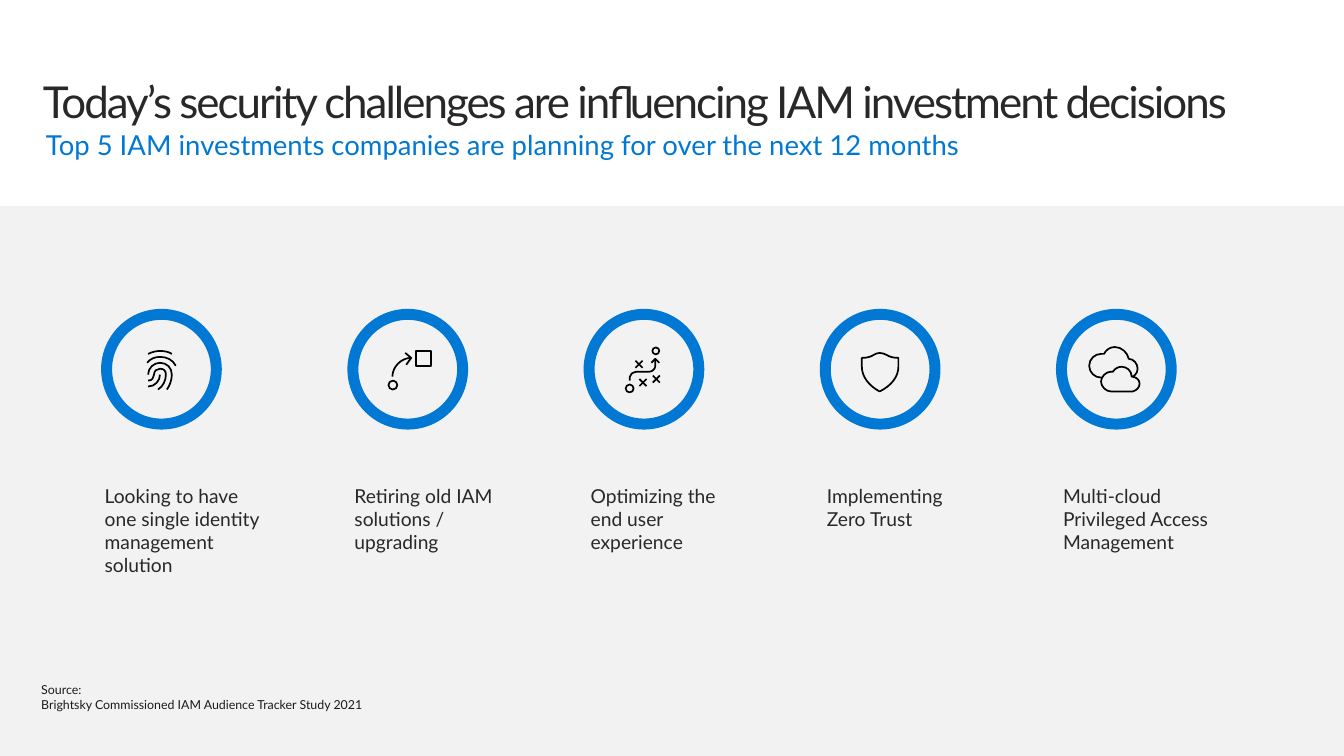
import itertools

import pptx
import pptx.dml.color
import pptx.enum.shapes
import pptx.oxml.ns
import pptx.util

Cm, Pt = pptx.util.Cm, pptx.util.Pt
RGBColor = pptx.dml.color.RGBColor
MSO_SHAPE = pptx.enum.shapes.MSO_SHAPE
qn = pptx.oxml.ns.qn

PANEL = RGBColor(0xF2, 0xF2, 0xF2)
BLUE = RGBColor(0x00, 0x78, 0xD4)
DARK = RGBColor(0x28, 0x28, 0x28)
SOURCE_INK = RGBColor(0x1A, 0x1A, 0x1A)
BLACK = RGBColor(0x00, 0x00, 0x00)

RING_TOP, RING_SIZE = 8.08, 2.82
ICON_UNIT = 0.0254  # cm per step of the icon grid, counted from the ring's corner

# Icon strokes: C curve, L straight line, O circle (centre, radius), X cross (centre)
FINGERPRINT = [
    "C 54 61 54 67 49 73 42 73",
    "C 66 40 63 38 59 37 54 37 50 37 46 38 42 40",
    "C 70 52 67 46 61 43 54 43 49 43 44 45 41 49",
    "C 61 76 64 72 66 66 66 61 66 54 61 49 54 49 48 49 42 54 42 61",
    "C 52 76 57 73 60 67 60 61 60 57 58 55 54 55 51 55 48 57 48 61 48 64 46 67 42 67",
]
UPGRADE = [
    "C 40 63 40 53 49 44 59 44",
    "L 54 51 59 44 53 39",
    "O 40.5 71.5 4.5",
    "L 79 37 64 37 64 52 79 52 79 37",
]
ROUTE = [
    "C 67 45 67 45 67 48 67 51 67 58 61 58 61 58 61 58 49 58 49 58 49 58 46 58 43 60 41 62 41 64 41 67",
    "L 71 49 67 45 63 49",
    "O 41 75 4", "O 67.5 37 3.5",
    "X 50.5 50.5", "X 68 65.5", "X 54.5 69",
]
SHIELD = [
    "C 74 53 74 63 67 72 55 78 44 72 37 63 37 53 37 53 37 44 37 44 42 44 46 43 49 41 "
    "50 40 53 39 55 39 58 39 60 40 62 41 65 43 69 44 74 44 74 44 74 53 74 53",
]
BACK_CLOUD = [
    "C 68 64 68 64 40 64 40 64 34 64 28 59 28 52 28 45 34 40 40 40 41 40 42 40 43 40 "
    "45 36 49 33 54 33 61 33 67 39 68 45 73 45 77 50 77 55 77 60 73 64 68 64",
]
FRONT_CLOUD = [
    "C 72 78 72 78 50 78 50 78 45 78 40 73 40 68 40 63 45 58 50 58 51 58 51 58 52 58 "
    "54 55 57 53 61 53 66 53 71 57 71 63 75 63 79 66 79 70 79 74 76 77 72 78",
]

# Ring left, label left, label width, label height, label, icon layers as (strokes, fill)
INVESTMENTS = [
    (2.74, 2.44, 4.78, 2.64, "Looking to have one single identity management solution",
     [(FINGERPRINT, None)]),
]
OTHERS = [
    (2.06, "Retiring old IAM solutions / upgrading", [(UPGRADE, None)]),
    (2.06, "Optimizing the end user experience", [(ROUTE, None)]),
    (1.45, "Implementing Zero Trust", [(SHIELD, None)]),
    (2.06, "Multi-cloud Privileged Access Management", [(BACK_CLOUD, None), (FRONT_CLOUD, PANEL)]),
]
for i, other in enumerate(OTHERS):
    INVESTMENTS.append((9.07 + 6.07 * i, 8.86 + 6.07 * i, 4.45, *other))


def add_text(s, text, left, top, width, height, size, color=DARK,
             insets=(0.25, 0.13, 0.25, 0.13), line_spacing=None, before=None, spacing=None):
    tf = s.shapes.add_textbox(Cm(left), Cm(top), Cm(width), Cm(height)).text_frame
    tf.word_wrap = True
    tf.margin_left, tf.margin_top, tf.margin_right, tf.margin_bottom = map(Cm, insets)
    p = tf.paragraphs[0]
    p.line_spacing = line_spacing
    if before:
        p.space_before = Pt(before)
    for n, line in enumerate(text.split("\n")):
        if n:
            p.add_line_break()
        r = p.add_run()
        r.text = line
        r.font.name, r.font.size = "Lato", Pt(size)
        r.font.color.rgb = color
        if spacing:
            r.font._element.set("spc", str(round(spacing * 100)))


def stroke_outlines(stroke):
    """Return the (curved, points) outlines of one icon stroke."""
    kind, *words = stroke.split()
    v = [float(w) for w in words]
    if kind == "O":
        x, y, d = v
        c = 0.55 * d
        return [(True, [(x, y + d), (x + c, y + d), (x + d, y + c), (x + d, y),
                        (x + d, y - c), (x + c, y - d), (x, y - d),
                        (x - c, y - d), (x - d, y - c), (x - d, y),
                        (x - d, y + c), (x - c, y + d), (x, y + d)])]
    if kind == "X":
        x, y, d = *v, 3.6
        return [(False, [(x - d, y - d * k), (x + d, y + d * k)]) for k in (1, -1)]
    return [(kind == "C", list(zip(v[::2], v[1::2])))]


prs = pptx.Presentation()
prs.slide_width, prs.slide_height = Cm(34.54), Cm(19.43)
s = prs.slides.add_slide(prs.slide_layouts[6])

# Grey panel
panel = s.shapes.add_shape(MSO_SHAPE.RECTANGLE, 0, Cm(5.3), prs.slide_width, Cm(14.13))
panel.shadow.inherit = False
panel.fill.solid()
panel.fill.fore_color.rgb = PANEL
panel.line.fill.background()

# Heading and source
add_text(s, "Today’s security challenges are influencing IAM investment decisions",
         1.07, 1.27, 33.47, 2.11, 32, insets=(0.03, 0.46, 0, 0),
         line_spacing=1.13, before=0.9, spacing=-1.47)
add_text(s, "Top 5 IAM investments companies are planning for over the next 12 months",
         1.18, 3.4, 32.13, 0.76, 20, color=BLUE, insets=(0, 0, 0, 0), line_spacing=0.9)
add_text(s, "Source:\nBrightsky Commissioned IAM Audience Tracker Study 2021",
         0.81, 17.4, 23.39, 1.02, 9, color=SOURCE_INK)

# Investments: ring, icon and label
for ring_left, label_left, label_width, label_height, label, layers in INVESTMENTS:
    add_text(s, label, label_left, 12.31, label_width, label_height, 14)
    badge = s.shapes.add_group_shape()
    ring = badge.shapes.add_shape(MSO_SHAPE.OVAL, Cm(ring_left), Cm(RING_TOP),
                                  Cm(RING_SIZE), Cm(RING_SIZE))
    ring.shadow.inherit = False
    ring.fill.background()
    ring.line.color.rgb, ring.line.width = BLUE, Pt(8)

    for strokes, fill in layers:
        outlines = [(curved, [(Cm(ring_left + x * ICON_UNIT), Cm(RING_TOP + y * ICON_UNIT))
                              for x, y in points])
                    for stroke in strokes for curved, points in stroke_outlines(stroke)]
        builder = badge.shapes.build_freeform(*outlines[0][1][0])
        for n, (curved, points) in enumerate(outlines):
            if n:
                builder.move_to(*points[0])
            builder.add_line_segments(points[1:], close=points[0] == points[-1])
        icon = builder.convert_to_shape()

        # Join each three points of a curved outline into one Bézier segment
        starts = list(icon._element.iter(qn("a:moveTo")))
        for (curved, points), start in zip(outlines, starts):
            if curved:
                segments = list(itertools.islice(start.itersiblings(), len(points) - 1))
                for first, second, third in zip(segments[::3], segments[1::3], segments[2::3]):
                    first.tag = qn("a:cubicBezTo")
                    for extra in (second, third):
                        first.append(extra[0])
                        extra.getparent().remove(extra)

        icon.shadow.inherit = False
        icon.fill.background()
        if fill:
            icon.fill.solid()
            icon.fill.fore_color.rgb = fill
        icon.line.color.rgb, icon.line.width = BLACK, Pt(1.25)

prs.save("out.pptx")
